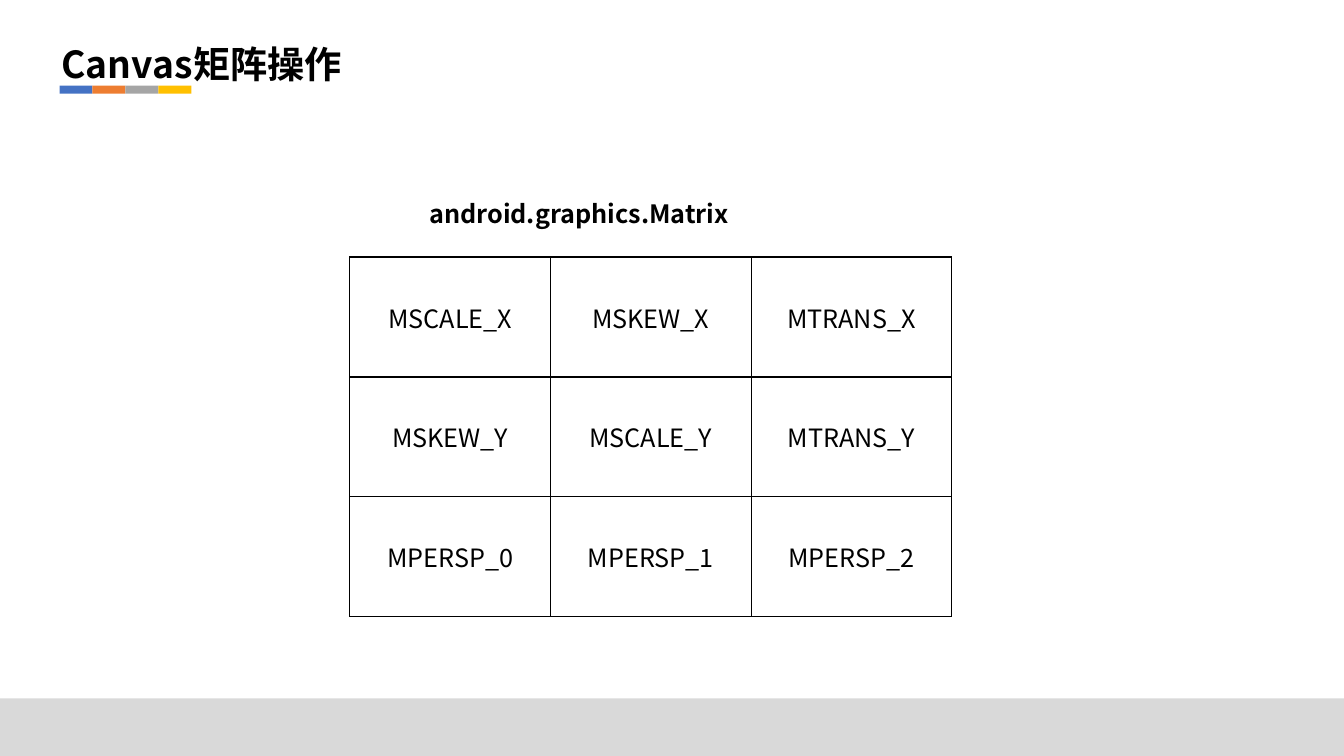
from dataclasses import dataclass

from lxml.etree import SubElement
from pptx import Presentation
from pptx.dml.color import RGBColor
from pptx.enum.shapes import MSO_SHAPE
from pptx.enum.text import MSO_ANCHOR, MSO_AUTO_SIZE, PP_ALIGN
from pptx.oxml.ns import qn
from pptx.slide import Slide
from pptx.table import _Cell
from pptx.text.text import TextFrame
from pptx.util import Inches, Pt

FONT = "Noto Sans CJK SC"
BLACK = "000000"


@dataclass
class Bar:
    left: float
    top: float
    width: float
    height: float
    color: str


@dataclass
class Label:
    text: str
    left: float
    top: float
    width: float
    height: float
    size: float
    inset_x: float = 0.1
    inset_y: float = 0.05


STRIPE_WIDTH = 0.327
STRIPE_COLORS = ["4472C4", "ED7D31", "A5A5A5", "FFC000"]
FOOTER = Bar(0, 6.93, 13.33, 0.57, "D9D9D9")
STRIPES = [
    Bar(0.59 + index * STRIPE_WIDTH, 0.85, STRIPE_WIDTH, 0.08, color)
    for index, color in enumerate(STRIPE_COLORS)
]
TITLE = Label("Canvas矩阵操作", 0.61, 0.41, 4.6, 0.45, 26.6, 0, 0)
CAPTION = Label("android.graphics.Matrix", 4.16, 1.92, 4.4, 0.4, 18)
MATRIX = [
    ["MSCALE_X", "MSKEW_X", "MTRANS_X"],
    ["MSKEW_Y", "MSCALE_Y", "MTRANS_Y"],
    ["MPERSP_0", "MPERSP_1", "MPERSP_2"],
]


def rgb(color: str) -> RGBColor:
    return RGBColor.from_string(color)


def write(frame: TextFrame, text: str, *, size: float, bold: bool = False,
          align: PP_ALIGN = PP_ALIGN.LEFT) -> None:
    para = frame.paragraphs[0]
    para.alignment = align
    span = para.add_run()
    span.text = text
    span.font.size = Pt(size)
    span.font.bold = bold
    span.font.name = FONT
    span.font.color.rgb = rgb(BLACK)
    # East Asian characters take their own typeface element
    SubElement(span.font._element, qn("a:ea"), typeface=FONT)


def draw_bar(page: Slide, bar: Bar) -> None:
    box = page.shapes.add_shape(
        MSO_SHAPE.RECTANGLE, Inches(bar.left), Inches(bar.top),
        Inches(bar.width), Inches(bar.height))
    box.shadow.inherit = False
    box.fill.solid()
    box.fill.fore_color.rgb = rgb(bar.color)
    box.line.fill.background()


def draw_label(page: Slide, label: Label) -> None:
    box = page.shapes.add_textbox(
        Inches(label.left), Inches(label.top),
        Inches(label.width), Inches(label.height))
    frame = box.text_frame
    frame.word_wrap = True
    frame.auto_size = MSO_AUTO_SIZE.SHAPE_TO_FIT_TEXT
    frame.margin_left = frame.margin_right = Inches(label.inset_x)
    frame.margin_top = frame.margin_bottom = Inches(label.inset_y)
    write(frame, label.text, size=label.size, bold=True)


def add_borders(cell: _Cell) -> None:
    properties = cell._tc.get_or_add_tcPr()
    for side in ("lnL", "lnR", "lnT", "lnB"):
        line = SubElement(properties, qn(f"a:{side}"), w=str(Pt(1)))
        fill = SubElement(line, qn("a:solidFill"))
        SubElement(fill, qn("a:srgbClr"), val=BLACK)


def draw_matrix(page: Slide, rows: list[list[str]]) -> None:
    table = page.shapes.add_table(
        len(rows), len(rows[0]), Inches(3.47), Inches(2.55),
        Inches(5.97), Inches(3.57)).table
    table.first_row = False
    table.horz_banding = False
    for row_index, row in enumerate(rows):
        for column_index, text in enumerate(row):
            cell = table.cell(row_index, column_index)
            add_borders(cell)
            cell.fill.background()
            cell.vertical_anchor = MSO_ANCHOR.MIDDLE
            write(cell.text_frame, text, size=18, align=PP_ALIGN.CENTER)


def main() -> None:
    deck = Presentation()
    deck.slide_width = Inches(13.33)
    deck.slide_height = Inches(7.5)
    page = deck.slides.add_slide(deck.slide_layouts[6])

    # Footer band and title with its coloured underline
    draw_bar(page, FOOTER)
    draw_label(page, TITLE)
    for stripe in STRIPES:
        draw_bar(page, stripe)

    # Matrix fields and their caption
    draw_matrix(page, MATRIX)
    draw_label(page, CAPTION)

    deck.save("out.pptx")


if __name__ == "__main__":
    main()
